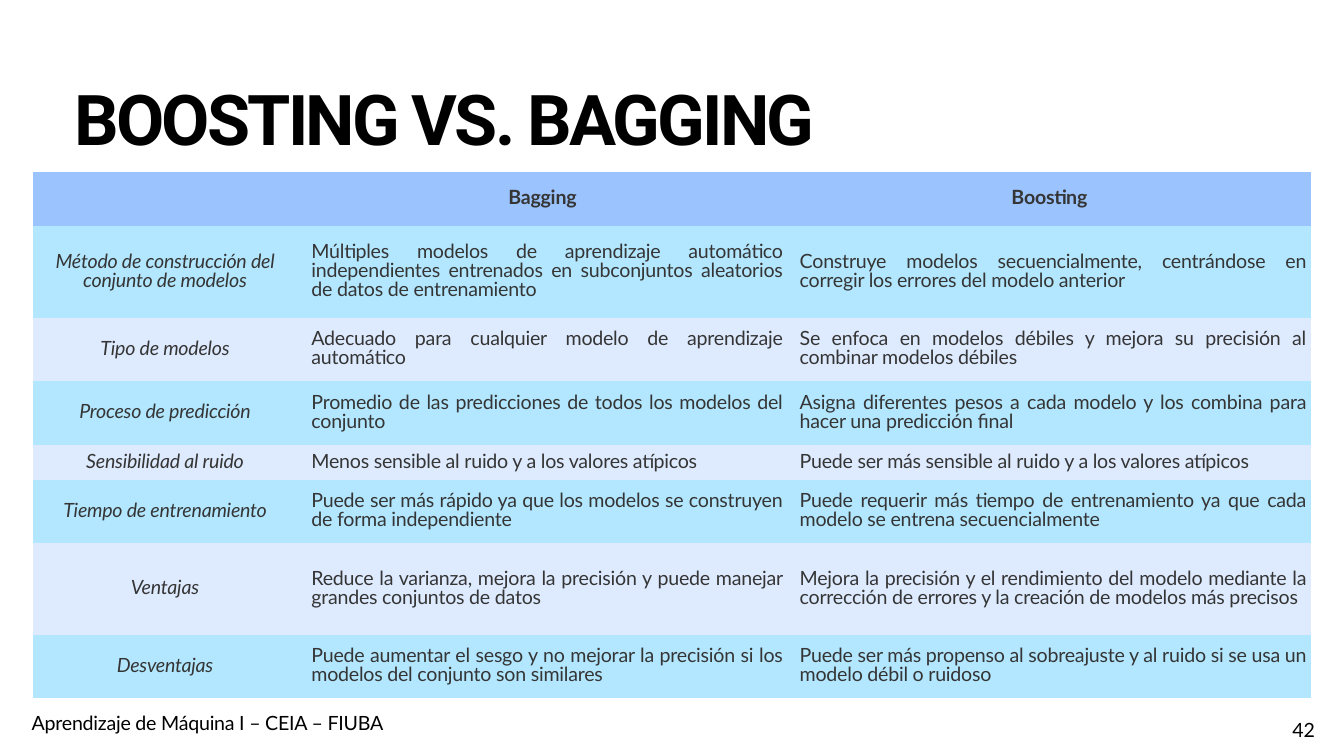
from dataclasses import dataclass

import pptx
import pptx.dml.color
import pptx.enum.text
import pptx.util

Inches = pptx.util.Inches
Align = pptx.enum.text.PP_ALIGN
Anchor = pptx.enum.text.MSO_ANCHOR


@dataclass(frozen=True)
class Theme:
    head: str = "9BC4FF"
    odd: str = "B2E7FF"
    even: str = "DEEBFF"
    black: str = "000000"
    gray: str = "353535"
    plain: str = "{2D5ABB26-0587-4C30-8999-92F81FD0307C}"  # no style, no grid


@dataclass(frozen=True)
class Style:
    font: str = "Lato"
    size: float = 28
    color: str = Theme.black
    bold: bool = False
    italic: bool = False
    align: Align = Align.LEFT
    track: int = -30  # hundredths of a point


@dataclass(frozen=True)
class Label:
    text: str
    left: float
    top: float
    width: float
    height: float
    style: Style
    inset: tuple[float, float] = (0.1, 0.05)


@dataclass(frozen=True)
class Column:
    width: float
    inset: float
    style: Style


@dataclass(frozen=True)
class Row:
    height: float
    texts: tuple[str, str, str]


TITLE = Style("Roboto", 100, bold=True, track=-400)
HEAD = Style(color=Theme.gray, bold=True, align=Align.CENTER)
TOPIC = Style(color=Theme.gray, italic=True, align=Align.CENTER)
BODY = Style(color=Theme.gray, align=Align.JUSTIFY)

LABELS = [
    Label("BOOSTING VS. BAGGING", 1.42, 1.77, 23.92, 1.94, TITLE, (0.06, 0.06)),
    Label("Aprendizaje de Máquina I – CEIA – FIUBA", 0.53, 14.15, 8.32, 0.51, Style()),
    Label("42", 25.25, 14.28, 1.24, 0.55, Style(align=Align.CENTER)),
]

COLUMNS = [
    Column(5.25, 0.1, TOPIC),
    Column(9.73, 0.28, BODY),
    Column(10.39, 0.24, BODY),
]

HEADER, ONE, TWO, THREE = 1.07, 0.69, 1.26, 1.82  # heights by line count
ROWS = [
    Row(HEADER, ("", "Bagging", "Boosting")),
    Row(THREE, (
        "Método de construcción del conjunto de modelos",
        "Múltiples modelos de aprendizaje automático independientes entrenados "
        "en subconjuntos aleatorios de datos de entrenamiento",
        "Construye modelos secuencialmente, centrándose en corregir los errores "
        "del modelo anterior")),
    Row(TWO, (
        "Tipo de modelos",
        "Adecuado para cualquier modelo de aprendizaje automático",
        "Se enfoca en modelos débiles y mejora su precisión al combinar "
        "modelos débiles")),
    Row(TWO, (
        "Proceso de predicción",
        "Promedio de las predicciones de todos los modelos del conjunto",
        "Asigna diferentes pesos a cada modelo y los combina para hacer una "
        "predicción final")),
    Row(ONE, (
        "Sensibilidad al ruido",
        "Menos sensible al ruido y a los valores atípicos",
        "Puede ser más sensible al ruido y a los valores atípicos")),
    Row(TWO, (
        "Tiempo de entrenamiento",
        "Puede ser más rápido ya que los modelos se construyen de forma "
        "independiente",
        "Puede requerir más tiempo de entrenamiento ya que cada modelo se "
        "entrena secuencialmente")),
    Row(THREE, (
        "Ventajas",
        "Reduce la varianza, mejora la precisión y puede manejar grandes "
        "conjuntos de datos",
        "Mejora la precisión y el rendimiento del modelo mediante la corrección "
        "de errores y la creación de modelos más precisos")),
    Row(TWO, (
        "Desventajas",
        "Puede aumentar el sesgo y no mejorar la precisión si los modelos del "
        "conjunto son similares",
        "Puede ser más propenso al sobreajuste y al ruido si se usa un modelo "
        "débil o ruidoso")),
]


def rgb(code: str) -> pptx.dml.color.RGBColor:
    return pptx.dml.color.RGBColor.from_string(code)


def write(frame, text: str, style: Style) -> None:
    para = frame.paragraphs[0]
    run = para.add_run()
    run.text = text
    run._r.get_or_add_rPr().set("spc", str(style.track))
    para.alignment = style.align
    para.line_spacing = 0.8
    font = para.font
    font.name = style.font
    font.size = pptx.util.Pt(style.size)
    font.bold = style.bold
    font.italic = style.italic
    font.color.rgb = rgb(style.color)


def draw_label(slide, label: Label) -> None:
    box = slide.shapes.add_textbox(
        Inches(label.left), Inches(label.top),
        Inches(label.width), Inches(label.height))
    frame = box.text_frame
    frame.word_wrap = True
    side, edge = map(Inches, label.inset)
    frame.margin_left = frame.margin_right = side
    frame.margin_top = frame.margin_bottom = edge
    write(frame, label.text, label.style)


def draw_table(slide, left: float, top: float) -> None:
    width = sum(col.width for col in COLUMNS)
    height = sum(row.height for row in ROWS)
    table = slide.shapes.add_table(
        len(ROWS), len(COLUMNS), Inches(left), Inches(top),
        Inches(width), Inches(height)).table
    table.first_row = table.horz_banding = False
    table._tbl.tblPr[0].text = Theme.plain
    for x, col in enumerate(COLUMNS):
        table.columns[x].width = Inches(col.width)
    for y, row in enumerate(ROWS):
        table.rows[y].height = Inches(row.height)
        band = Theme.odd if y % 2 else Theme.even
        for x, (col, text) in enumerate(zip(COLUMNS, row.texts)):
            cell = table.cell(y, x)
            cell.fill.solid()
            cell.fill.fore_color.rgb = rgb(band if y else Theme.head)
            cell.vertical_anchor = Anchor.MIDDLE
            if y:
                cell.margin_left = Inches(col.inset)
            if text:
                write(cell.text_frame, text, col.style if y else HEAD)


def main() -> None:
    deck = pptx.Presentation()
    deck.slide_width, deck.slide_height = Inches(26.67), Inches(15)
    slide = deck.slides.add_slide(deck.slide_layouts[6])
    for label in LABELS:
        draw_label(slide, label)
    draw_table(slide, 0.65, 3.42)
    deck.save("out.pptx")


if __name__ == "__main__":
    main()
